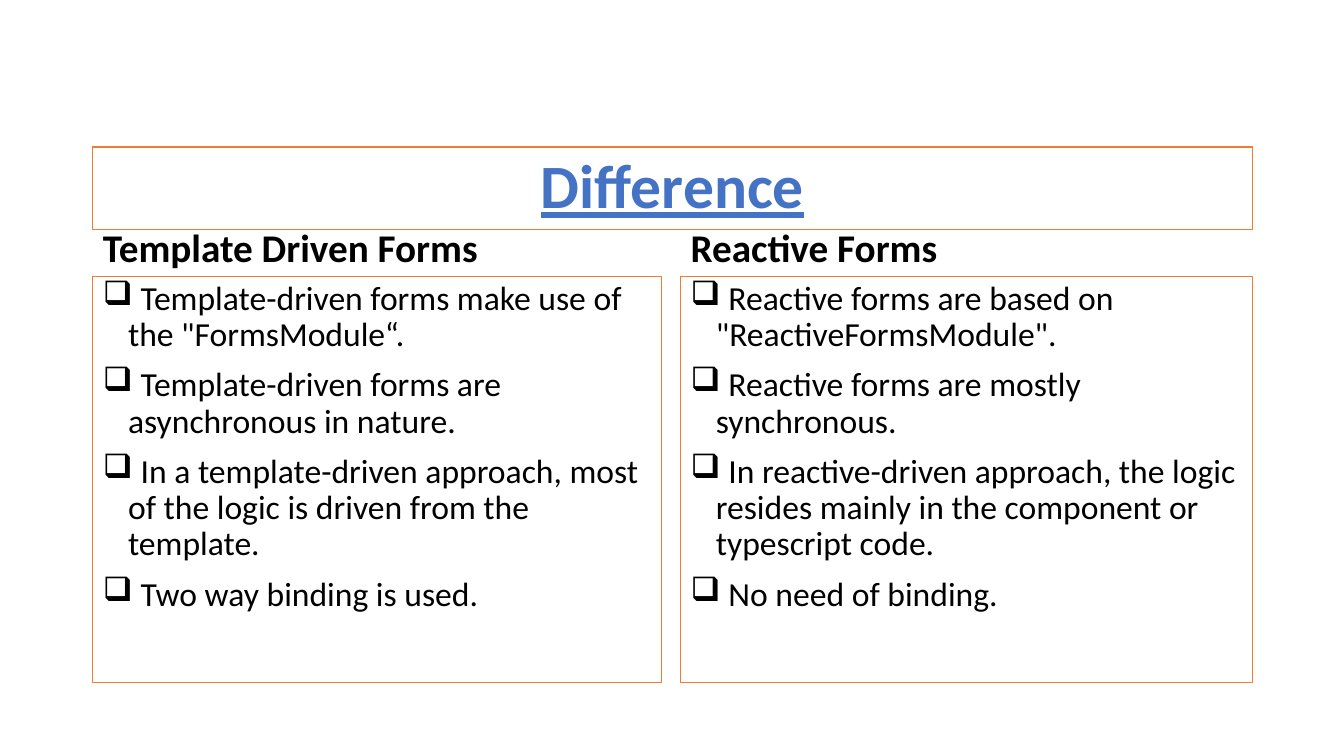
from lxml.etree import SubElement
from pptx import Presentation
from pptx.dml.color import RGBColor
from pptx.enum.text import MSO_ANCHOR, MSO_AUTO_SIZE, PP_ALIGN
from pptx.oxml.ns import qn
from pptx.util import Inches, Pt

# Content
TITLE = "Difference"
COLUMNS = [
    ("Template Driven Forms", [
        "Template-driven forms make use of the \"FormsModule\u201c.",
        "Template-driven forms are asynchronous in nature.",
        "In a template-driven approach, most of the logic is driven from the template.",
        "Two way binding is used.",
    ]),
    ("Reactive Forms", [
        "Reactive forms are based on \"ReactiveFormsModule\".",
        "Reactive forms are mostly synchronous.",
        "In reactive-driven approach, the logic resides mainly in the component "
        "or typescript code.",
        "No need of binding.",
    ]),
]

# Style and layout
WHITE = RGBColor(0xFF, 0xFF, 0xFF)
BLACK = RGBColor(0, 0, 0)
BLUE = RGBColor(0x44, 0x72, 0xC4)
ORANGE = RGBColor(0xED, 0x7D, 0x31)
FONT = "Calibri"
LEFT, WIDTH = 0.92, 11.5
COLUMN_SPANS = [(LEFT, 5.64), (6.75, 5.67)]
HEAD_TOP, HEAD_H = 1.84, 0.9
LIST_TOP, LIST_H = HEAD_TOP + HEAD_H, 4.03


def place(sp, left, top, width, height, anchor, boxed=False):
    sp.left, sp.top = Inches(left), Inches(top)
    sp.width, sp.height = Inches(width), Inches(height)
    tf = sp.text_frame
    tf.word_wrap = True
    tf.auto_size = MSO_AUTO_SIZE.NONE
    tf.vertical_anchor = anchor
    if boxed:
        sp.fill.solid()
        sp.fill.fore_color.rgb = WHITE
        sp.line.color.rgb = ORANGE
        sp.line.width = Pt(1)
    return tf


def write(p, text, size, color=BLACK, bold=False, underline=False,
          align=PP_ALIGN.LEFT, before=10):
    p.alignment = align
    p.line_spacing = 0.9
    p.space_before = Pt(before)
    r = p.add_run()
    r.text = text
    r.font.name, r.font.size = FONT, Pt(size)
    r.font.bold, r.font.underline = bold, underline
    r.font.color.rgb = color


def set_bullet(p, indent=0, box=False):
    pPr = p._p.get_or_add_pPr()
    pPr.set("marL", str(Inches(indent)))
    pPr.set("indent", str(-Inches(indent)))
    if box:
        SubElement(pPr, qn("a:buFont"), typeface="Wingdings", charset="2")
        SubElement(pPr, qn("a:buChar"), char="q")
    else:
        SubElement(pPr, qn("a:buNone"))


prs = Presentation()
prs.slide_width, prs.slide_height = Inches(13.33), Inches(7.5)
s = prs.slides.add_slide(prs.slide_layouts.get_by_name("Comparison"))
title, *bodies = s.placeholders

# Title
tf = place(title, LEFT, 1.46, WIDTH, 0.82, MSO_ANCHOR.MIDDLE, boxed=True)
write(tf.paragraphs[0], TITLE, 44, BLUE, bold=True, underline=True,
      align=PP_ALIGN.CENTER, before=0)

# Compared columns: heading above a boxed list
for (heading, points), (left, width), head, box in zip(
        COLUMNS, COLUMN_SPANS, bodies[::2], bodies[1::2]):
    tf = place(head, left, HEAD_TOP, width, HEAD_H, MSO_ANCHOR.BOTTOM)
    write(tf.paragraphs[0], heading, 28, bold=True)
    set_bullet(tf.paragraphs[0])

    tf = place(box, left, LIST_TOP, width, LIST_H, MSO_ANCHOR.TOP, boxed=True)
    for i, point in enumerate(points):
        p = tf.add_paragraph() if i else tf.paragraphs[0]
        write(p, " " + point, 24)
        set_bullet(p, 0.25, box=True)

prs.save("out.pptx")
